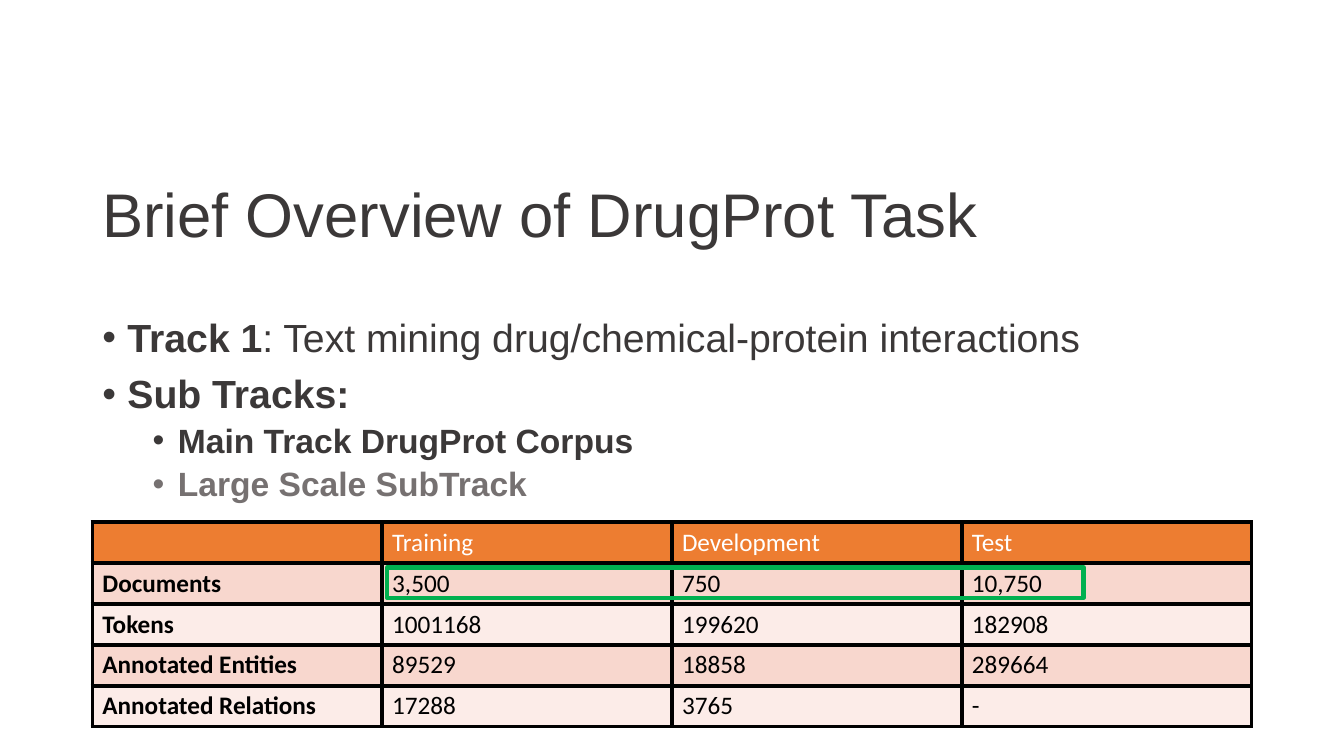
from dataclasses import dataclass

from lxml.etree import SubElement
from pptx import Presentation
from pptx.dml.color import RGBColor
from pptx.enum.shapes import MSO_SHAPE
from pptx.enum.text import MSO_ANCHOR
from pptx.oxml.ns import qn
from pptx.util import Pt


@dataclass(frozen=True)
class Theme:
    """Colours, fonts and type sizes of the slide."""
    dark: str = "3B3838"
    grey: str = "767171"
    black: str = "000000"
    white: str = "FFFFFF"
    head: str = "ED7D31"
    bands: tuple = ("F8D7CE", "FCECE8")
    mark: str = "00B050"
    font: str = "Arial"
    grid_font: str = "Calibri"
    title: int = 44
    body: int = 28
    sub: int = 24
    cell: int = 18
    line: int = 3


THEME = Theme()

POINTS = [
    (0, [("Track 1", True),
         (": Text mining drug/chemical-protein interactions", False)], THEME.dark),
    (0, [("Sub Tracks:", True)], THEME.dark),
    (1, [("Main Track DrugProt Corpus", True)], THEME.dark),
    (1, [("Large Scale SubTrack", True)], THEME.grey),
]

ROWS = [
    ("", "Training", "Development", "Test"),
    ("Documents", "3,500", "750", "10,750"),
    ("Tokens", "1001168", "199620", "182908"),
    ("Annotated Entities", "89529", "18858", "289664"),
    ("Annotated Relations", "17288", "3765", "-"),
]


def add_run(para, text, size, color, font=THEME.font, bold=False):
    """Append one styled run to a paragraph."""
    run = para.add_run()
    run.text = text
    run.font.name = font
    run.font.size = Pt(size)
    run.font.bold = bold
    run.font.color.rgb = RGBColor.from_string(color)


def add_frame(slide, box):
    """Add a wrapping text box and return its text frame."""
    frame = slide.shapes.add_textbox(*map(Pt, box)).text_frame
    frame.word_wrap = True
    return frame


def add_title(slide, box):
    """Place the title, centred vertically in its box."""
    frame = add_frame(slide, box)
    frame.vertical_anchor = MSO_ANCHOR.MIDDLE
    para = frame.paragraphs[0]
    para.line_spacing = 0.9
    add_run(para, "Brief Overview of DrugProt Task", THEME.title, THEME.dark)


def set_bullet(para, level):
    """Give a paragraph a hanging bullet for its level."""
    props = para._p.get_or_add_pPr()
    props.set("marL", str(Pt(18 + 36 * level)))
    props.set("indent", str(Pt(-18)))
    SubElement(props, qn("a:buFont"), typeface=THEME.font)
    SubElement(props, qn("a:buChar"), char="•")


def add_body(slide, box):
    """Place the bulleted list."""
    frame = add_frame(slide, box)
    for index, (level, parts, color) in enumerate(POINTS):
        para = frame.add_paragraph() if index else frame.paragraphs[0]
        para.level = level
        para.line_spacing = 0.9
        para.space_before = Pt(5 if level else 10)
        set_bullet(para, level)
        for text, bold in parts:
            add_run(para, text, THEME.sub if level else THEME.body, color, bold=bold)


def set_cell(cell, text, fill, color, bold):
    """Fill, border and label one table cell."""
    props = cell._tc.get_or_add_tcPr()
    for side in ("lnL", "lnR", "lnT", "lnB"):
        line = SubElement(props, qn(f"a:{side}"), w=str(Pt(THEME.line)))
        paint = SubElement(line, qn("a:solidFill"))
        SubElement(paint, qn("a:srgbClr"), val=THEME.black)
    cell.fill.solid()
    cell.fill.fore_color.rgb = RGBColor.from_string(fill)
    if text:
        add_run(cell.text_frame.paragraphs[0], text, THEME.cell, color,
                THEME.grid_font, bold)


def add_grid(slide, box):
    """Place the corpus table and frame its document counts."""
    left, top, width, height = box
    step, pitch = width / len(ROWS[0]), height / len(ROWS)
    grid = slide.shapes.add_table(len(ROWS), len(ROWS[0]), *map(Pt, box)).table
    for row, texts in enumerate(ROWS):
        fill = THEME.bands[(row - 1) % 2] if row else THEME.head
        color = THEME.black if row else THEME.white
        for col, text in enumerate(texts):
            set_cell(grid.cell(row, col), text, fill, color, row > 0 and col == 0)
    add_mark(slide, (left + step + 3.5, top + pitch + 3.2, 497.5, 21.6))


def add_mark(slide, box):
    """Draw the hollow highlight frame."""
    mark = slide.shapes.add_shape(MSO_SHAPE.RECTANGLE, *map(Pt, box))
    mark.shadow.inherit = False
    mark.fill.background()
    mark.line.color.rgb = RGBColor.from_string(THEME.mark)
    mark.line.width = Pt(THEME.line)


def main():
    """Build and save the slide."""
    deck = Presentation()
    deck.slide_width, deck.slide_height = Pt(960), Pt(540)
    slide = deck.slides.add_slide(deck.slide_layouts[6])
    left, width = 66, 828
    add_title(slide, (left, 103, width, 104.4))
    add_body(slide, (left, 224, width, 259))
    add_grid(slide, (left, 373, width, 146))
    deck.save("out.pptx")


if __name__ == "__main__":
    main()
